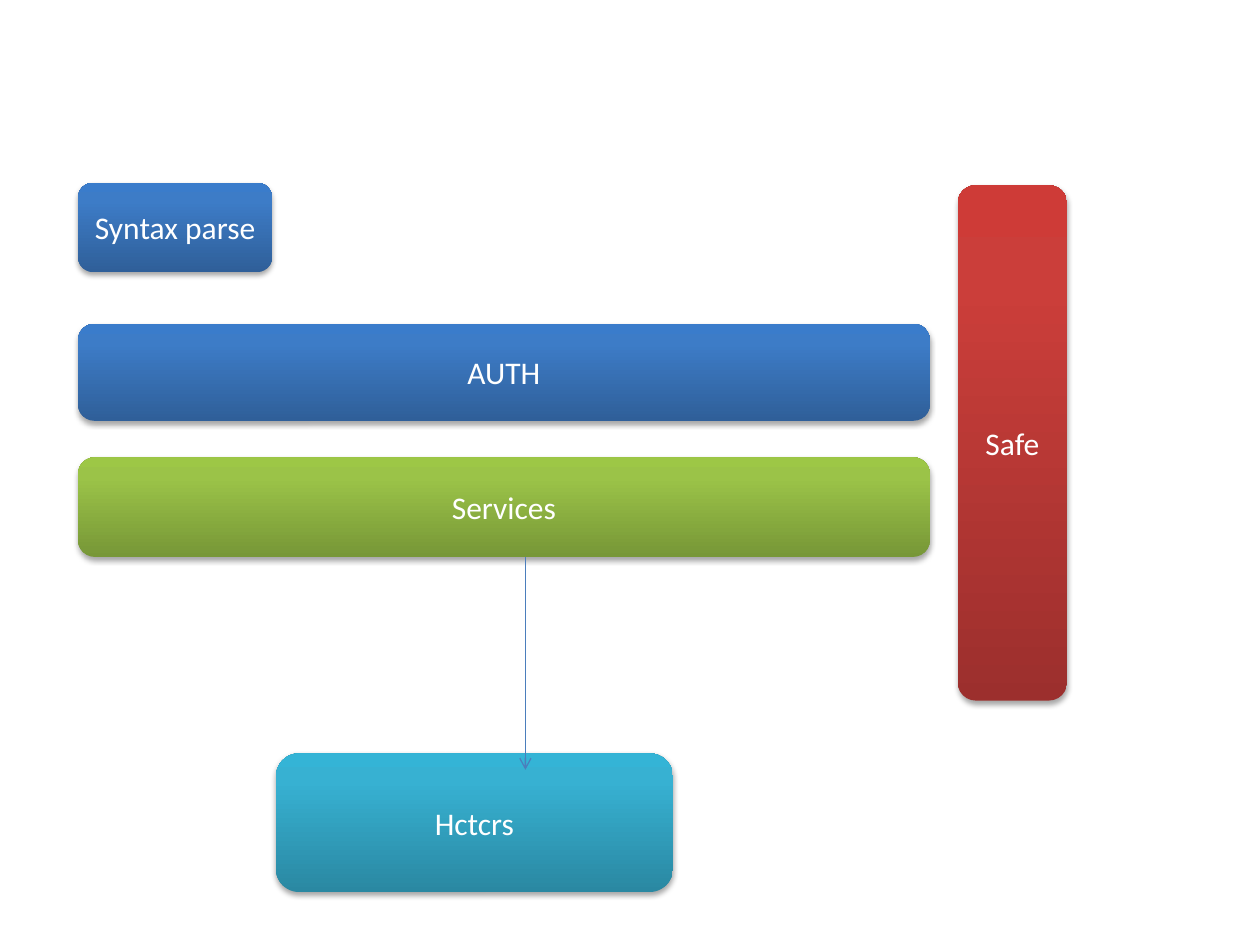
from copy import deepcopy

from lxml import etree
from pptx import Presentation
from pptx.dml.color import RGBColor
from pptx.enum import shapes, text
from pptx.oxml.ns import qn
from pptx.util import Inches, Pt

WHITE = RGBColor(0xFF, 0xFF, 0xFF)
LINE_BLUE = RGBColor(0x4B, 0x7E, 0xBC)

# Gradients from bottom to top
STOPS = (0, 0.8, 1)
BLUE = (RGBColor(0x2F, 0x5F, 0x99), RGBColor(0x3D, 0x7C, 0xC7), RGBColor(0x3A, 0x7C, 0xCB))
RED = (RGBColor(0x9C, 0x2F, 0x2D), RGBColor(0xCB, 0x3E, 0x3A), RGBColor(0xCE, 0x3B, 0x37))
GREEN = (RGBColor(0x77, 0x97, 0x37), RGBColor(0x9B, 0xC3, 0x48), RGBColor(0x9D, 0xC7, 0x46))
TEAL = (RGBColor(0x2A, 0x88, 0xA2), RGBColor(0x37, 0xB1, 0xD2), RGBColor(0x34, 0xB4, 0xD6))

LEFT, BAR_WIDTH = 0.62, 6.76
BOXES = [  # label, colours, left, top, width, height
    ("Syntax parse", BLUE, LEFT, 1.45, 1.54, 0.71),
    ("AUTH", BLUE, LEFT, 2.57, BAR_WIDTH, 0.77),
    ("Safe", RED, 7.6, 1.47, 0.87, 4.09),
    ("Services", GREEN, LEFT, 3.63, BAR_WIDTH, 0.79),
    ("Hctcrs", TEAL, 2.19, 5.98, 3.15, 1.1),
]


def fill_gradient(sp, colours):
    sp.fill.gradient()
    sp.fill.gradient_angle = 90
    stop_list = sp._element.spPr.find(".//" + qn("a:gsLst"))
    stop_list.append(deepcopy(stop_list[-1]))
    for stop, position, colour in zip(sp.fill.gradient_stops, STOPS, colours):
        stop.position = position
        stop.color.rgb = colour


def add_shadow(sp):
    sp.shadow.inherit = False
    effects = sp._element.spPr.find(qn("a:effectLst"))
    shadow = etree.SubElement(effects, qn("a:outerShdw"), blurRad=str(Pt(3.15)),
                              dist=str(Pt(1.8)), dir="5400000", rotWithShape="0")
    colour = etree.SubElement(shadow, qn("a:srgbClr"), val="000000")
    etree.SubElement(colour, qn("a:alpha"), val="35000")


def add_box(slide, label, colours, *place):
    sp = slide.shapes.add_shape(shapes.MSO_SHAPE.ROUNDED_RECTANGLE, *map(Inches, place))
    fill_gradient(sp, colours)
    sp.line.fill.background()
    add_shadow(sp)
    tf = sp.text_frame
    tf.word_wrap = True
    tf.vertical_anchor = text.MSO_ANCHOR.MIDDLE
    p = tf.paragraphs[0]
    p.text = label
    p.alignment = text.PP_ALIGN.CENTER
    p.font.name = "Calibri"
    p.font.size = Pt(18)
    p.font.color.rgb = WHITE


def add_arrow(slide, *ends):
    arrow = slide.shapes.add_connector(shapes.MSO_CONNECTOR.STRAIGHT, *map(Inches, ends))
    arrow.line.color.rgb = LINE_BLUE
    arrow.line.width = Pt(0.75)
    spPr = arrow._element.spPr
    etree.SubElement(spPr.find(qn("a:ln")), qn("a:tailEnd"), type="arrow")
    etree.SubElement(spPr, qn("a:effectLst"))


def main():
    prs = Presentation()
    prs.slide_width, prs.slide_height = Inches(10), Inches(7.5)
    slide = prs.slides.add_slide(prs.slide_layouts[6])

    # Layer boxes
    for box in BOXES:
        add_box(slide, *box)

    # Services to Hctcrs
    add_arrow(slide, 4.17, 4.42, 4.17, 6.11)

    prs.save("out.pptx")


main()
